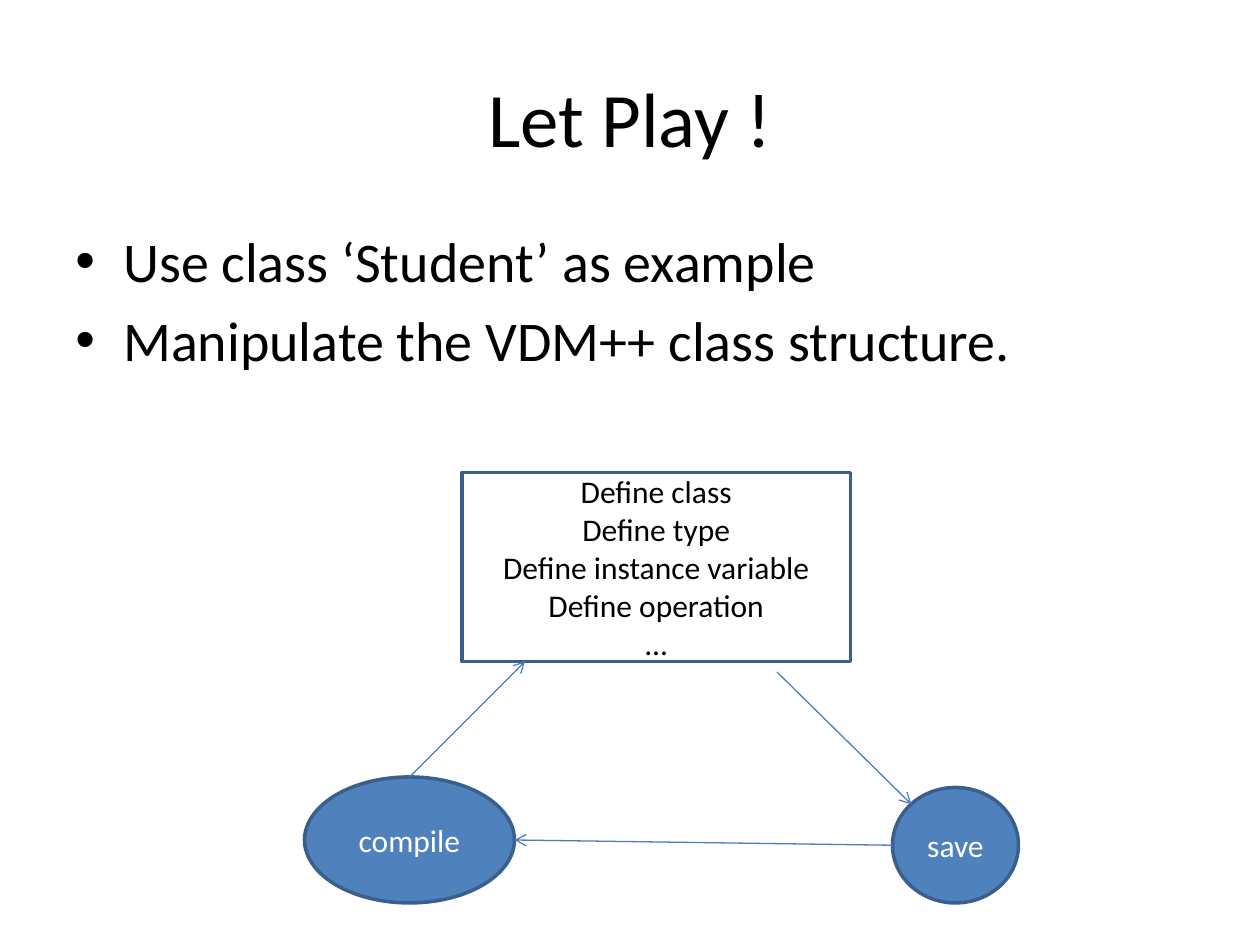
"""Build the "Let Play !" slide with a define, save and compile cycle."""
from lxml import etree
from pptx import Presentation, util as u
from pptx.dml.color import RGBColor
from pptx.enum import shapes, text
from pptx.oxml.ns import qn

BLACK = RGBColor(0x00, 0x00, 0x00)
WHITE = RGBColor(0xFF, 0xFF, 0xFF)
BLUE = RGBColor(0x4F, 0x81, 0xBD)
EDGE = RGBColor(0x3A, 0x5F, 0x8C)
ARROW = RGBColor(0x4B, 0x7E, 0xBC)

prs = Presentation()
prs.slide_width, prs.slide_height = u.Inches(10), u.Inches(7.5)
CELL = prs.slide_width / 120


def grid(*cells):
    return [round(c * CELL) for c in cells]


def write(sp, lines, size, color, align, anchor, before=0):
    tf = sp.text_frame
    tf.text = "\n".join(lines)
    for key, value in {"word_wrap": True, "vertical_anchor": anchor,
                       "auto_size": text.MSO_AUTO_SIZE.NONE}.items():
        setattr(tf, key, value)
    for p in tf.paragraphs:
        p.alignment, p.space_before = align, u.Pt(before)
        for r in p.runs:
            for key, value in {"name": "Calibri", "size": u.Pt(size)}.items():
                setattr(r.font, key, value)
            r.font.color.rgb = color


CENTER, LEFT = text.PP_ALIGN.CENTER, text.PP_ALIGN.LEFT
MIDDLE, TOP = text.MSO_ANCHOR.MIDDLE, text.MSO_ANCHOR.TOP

s = prs.slides.add_slide(prs.slide_layouts[5])
title = s.shapes.title
title.left, title.top, title.width, title.height = grid(6, 3.6, 108, 15)
write(title, ["Let Play !"], 44, BLACK, CENTER, MIDDLE)

body = s.shapes.add_textbox(*grid(6, 21, 108, 59.4))
write(body, ["Use class ‘Student’ as example", "Manipulate the VDM++ class structure."],
      32, BLACK, LEFT, TOP, 6.4)
for p in body.text_frame.paragraphs:
    pPr = p._p.get_or_add_pPr()
    for key, value in {"marL": u.Inches(0.38), "indent": -u.Inches(0.38)}.items():
        pPr.set(key, str(value))
    etree.SubElement(pPr, qn("a:buFont")).set("typeface", "Arial")
    etree.SubElement(pPr, qn("a:buChar")).set("char", "•")

steps = ["Define class", "Define type", "Define instance variable", "Define operation", "…"]
RECT, OVAL = shapes.MSO_SHAPE.RECTANGLE, shapes.MSO_SHAPE.OVAL
for kind, cells, lines, fill, color in [
    (RECT, (44, 45, 37, 18), steps, None, BLACK),
    (OVAL, (85, 75, 12, 11), ["save"], BLUE, WHITE),
    (OVAL, (29, 74, 20, 12), ["compile"], BLUE, WHITE),
]:
    sp = s.shapes.add_shape(kind, *grid(*cells))
    sp.shadow.inherit = False
    if fill is None:
        sp.fill.background()
    else:
        sp.fill.solid()
        sp.fill.fore_color.rgb = fill
    sp.line.color.rgb, sp.line.width = EDGE, u.Pt(2)
    write(sp, lines, 18, color, CENTER, MIDDLE)

for ends in [(74, 64, 86.8, 76.6), (85, 80.5, 49, 80), (39, 74, 50, 63)]:
    c = s.shapes.add_connector(shapes.MSO_CONNECTOR.STRAIGHT, *grid(*ends))
    c.line.color.rgb, c.line.width = ARROW, u.Pt(0.75)
    etree.SubElement(c.line._get_or_add_ln(), qn("a:tailEnd")).set("type", "arrow")
    etree.SubElement(c._element.spPr, qn("a:effectLst"))

prs.save("out.pptx")
